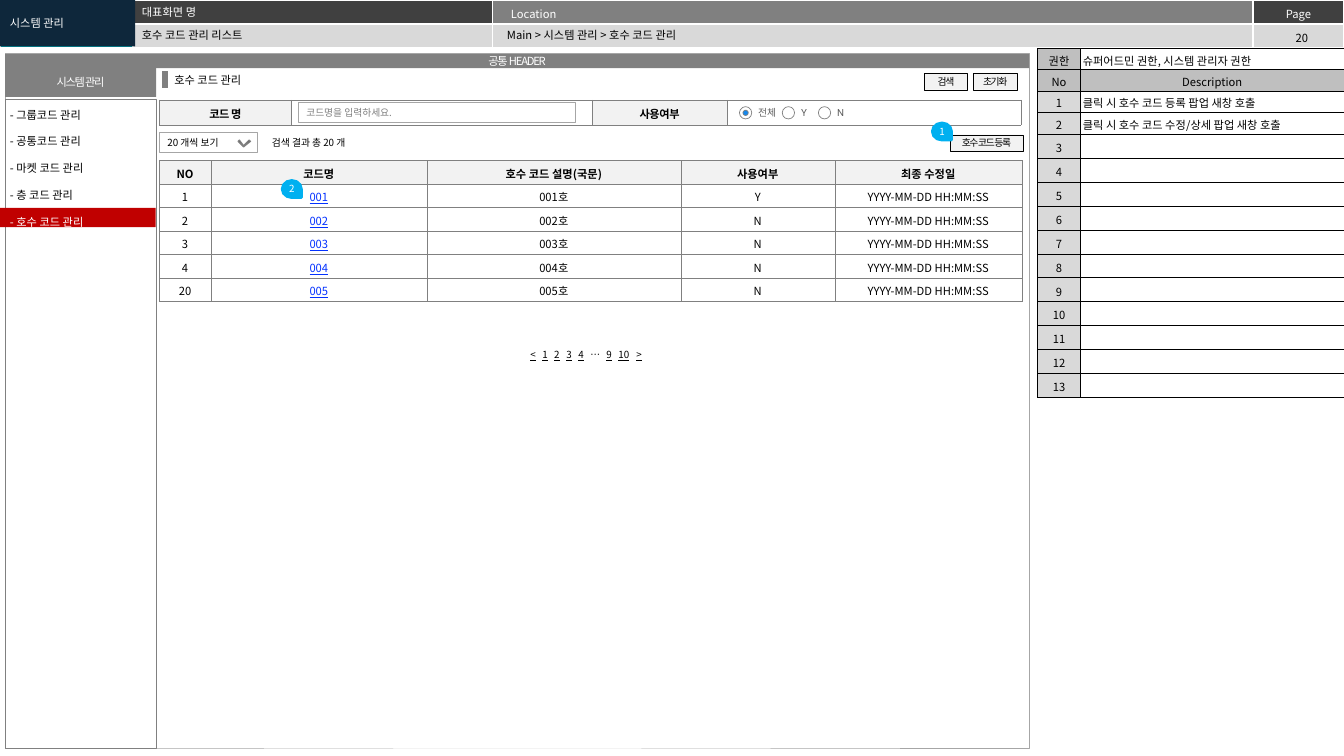
"""Build the room code management wireframe slide."""
from pptx import Presentation
from pptx.dml.color import RGBColor
from pptx.enum.shapes import MSO_CONNECTOR as Link, MSO_SHAPE as Kind
from pptx.enum.text import MSO_ANCHOR as Anchor, PP_ALIGN as Align
from pptx.oxml import parse_xml
from pptx.oxml.ns import nsdecls
from pptx.util import Pt

KR = "Noto Sans CJK KR"
BLACK, WHITE, GREY, DARK = "000000", "FFFFFF", "808080", "404040"
PALE, LIGHT, MID, EDGE = "F2F2F2", "D9D9D9", "BFBFBF", "A6A6A6"
NAVY, TEAL, RED, LINK, SKY = "0E273B", "009CA6", "C00000", "0432FF", "00B0F0"

TOP = [[("", TEAL), ("", DARK), ("Location", GREY), ("Page", DARK)],
       [("", TEAL), ("", LIGHT), ("", LIGHT), ("", LIGHT)]]
SEARCH = [[("코드 명", PALE), ("", WHITE), ("사용여부", PALE), ("", WHITE)]]
HEADS = ["NO", "코드명", "호수 코드 설명(국문)", "사용여부", "최종 수정일"]
ROOMS = [("1", "001", "Y"), ("2", "002", "N"), ("3", "003", "N"),
         ("4", "004", "N"), ("20", "005", "N")]
STAMP = "YYYY-MM-DD HH:MM:SS"
NOTES = ["클릭 시 호수 코드 등록 팝업 새창 호출",
         "클릭 시 호수 코드 수정/상세 팝업 새창 호출"] + [""] * 11
MENU = ["- 그룹코드 관리", "- 공통코드 관리", "- 마켓 코드 관리",
        "- 층 코드 관리", "- 호수 코드 관리"]
LABELS = [("20", 898.6, 18.7, 62.6, 17.3, 8, BLACK, Align.CENTER),
          ("호수 코드 관리 리스트", 94.3, 17.3, 261, 16, 8, BLACK, Align.LEFT),
          ("Main > 시스템 관리 > 호수 코드 관리", 355, 16.6, 531, 17, 8, BLACK, Align.LEFT),
          ("대표화면 명", 94.3, 0, 261, 17, 8, WHITE, Align.LEFT),
          ("호수 코드 관리", 117.4, 49, 173, 17, 8, BLACK, Align.LEFT),
          ("검색 결과 총 20 개", 187.2, 94.2, 80, 16, 7, BLACK, Align.LEFT)]
BARS = [("시스템 관리", 0, 0, 96.5, 33.2, NAVY, Align.LEFT, 0),
        ("공통 HEADER", 3.6, 38.6, 731.5, 10, GREY, Align.CENTER, -90),
        ("시스템 관리", 3.6, 48.4, 108, 20.9, GREY, Align.CENTER, -90)]
BUTTONS = [("초기화", 695.4, 52.4, 31), ("검색", 660.2, 52.4, 31),
           ("호수 코드 등록", 678.6, 96.2, 52)]
FIELDS = [("20 개씩 보기", 113.8, 94.8, 70, 14, BLACK),
          ("코드명을 입력하세요.", 213, 73.3, 198, 14.4, GREY)]
RADIOS = [("전체", 528.2, 30), ("Y", 558.8, 20), ("N", 584.6, 20)]
PINS = [("1", 666.7, 87.1), ("2", 202.3, 128.2)]
PAGES = [("<", 0), ("1", 8.6), ("2", 17.1), ("3", 25.7), ("4", 34.3),
         ("…", 42.9), ("9", 54.3), ("10", 62.9), (">", 75.7)]
ARROW = [(178.6, 100.8), (177.8, 100.1), (174.4, 103.7), (171.2, 100.1),
         (170.4, 100.8), (174.4, 104.9)]


def hue(code):
    return RGBColor.from_string(code)


def style(run, size, color, font=KR, bold=False, under=False, space=0):
    run.font.size, run.font.name = Pt(size), font
    run.font.bold, run.font.underline = bold, under
    run.font.color.rgb = hue(color)
    props = run._r.get_or_add_rPr()
    props.find("{*}latin").addnext(parse_xml(f'<a:ea {nsdecls("a")} typeface="{font}"/>'))
    if space:
        props.set("spc", str(space))


def write(shape, text, size, color, align=Align.LEFT, side=7.2, **look):
    frame = shape.text_frame
    frame.word_wrap, frame.vertical_anchor = True, Anchor.MIDDLE
    frame.margin_left = frame.margin_right = Pt(side)
    frame.margin_top = frame.margin_bottom = 0
    frame.text = text
    for para in frame.paragraphs:
        para.alignment = align
        for run in para.runs:
            style(run, size, color, **look)
    return frame


def label(text, x, y, w, h, size, color, align=Align.LEFT, side=7.2, **look):
    box = slide.shapes.add_textbox(Pt(x), Pt(y), Pt(w), Pt(h))
    return write(box, text, size, color, align, side, **look)


def paint(shape, fill, line, weight):
    shape.shadow.inherit = False
    if fill:
        shape.fill.solid()
        shape.fill.fore_color.rgb = hue(fill)
    else:
        shape.fill.background()
    if line:
        shape.line.color.rgb, shape.line.width = hue(line), Pt(weight)
    else:
        shape.line.fill.background()


def draw(x, y, w, h, fill=None, line=None, weight=0.25, kind=Kind.RECTANGLE):
    shape = slide.shapes.add_shape(kind, Pt(x), Pt(y), Pt(w), Pt(h))
    paint(shape, fill, line, weight)
    return shape


def edge(cell, color, weight):
    props = cell._tc.get_or_add_tcPr()
    for side in "LRTB":
        props.append(parse_xml(
            f'<a:ln{side} {nsdecls("a")} w="{int(weight * 12700)}"><a:solidFill>'
            f'<a:srgbClr val="{color}"/></a:solidFill></a:ln{side}>'))


def grid(x, y, cols, rows, cells, border=None, weight=0.25, side=7.2, ink=BLACK):
    frame = slide.shapes.add_table(len(rows), len(cols), Pt(x), Pt(y),
                                   Pt(sum(cols)), Pt(sum(rows)))
    table = frame.table
    table.first_row = table.horz_banding = False
    for col, width in zip(table.columns, cols):
        col.width = Pt(width)
    for row, height, items in zip(table.rows, rows, cells):
        row.height = Pt(height)
        for cell, (text, fill, *rest) in zip(row.cells, items):
            look = {"align": Align.CENTER, "color": ink, **(rest[0] if rest else {})}
            if border:
                edge(cell, border, weight)
            if fill:
                cell.fill.solid()
                cell.fill.fore_color.rgb = hue(fill)
            else:
                cell.fill.background()
            cell.margin_left = cell.margin_right = Pt(side)
            cell.margin_top, cell.margin_bottom = Pt(2), 0
            cell.vertical_anchor = Anchor.MIDDLE
            para = cell.text_frame.paragraphs[0]
            para.alignment = look.pop("align")
            if text:
                para.text = text
                style(para.runs[0], 8, **look)
            else:
                para._p.get_or_add_endParaRPr().set("sz", "800")
    return table


deck = Presentation()
deck.slide_width, deck.slide_height = Pt(960), Pt(540)
slide = deck.slides.add_slide(deck.slide_layouts[6])

left, bold = {"align": Align.LEFT}, {"bold": True}
TOP[0][2] += (left,)
top = grid(0, 0, [95, 257, 543, 65], [17.1] * 2, TOP, side=13, ink=WHITE)
top.cell(0, 0).merge(top.cell(1, 0))
draw(3.6, 38.2, 731.5, 496, None, EDGE)
for text, x, y, w, h, fill, align, space in BARS:
    write(draw(x, y, w, h, fill), text, 8, WHITE, align, space=space)
draw(3.6, 70.6, 108, 463.7, None, GREY)
for item in LABELS:
    label(*item)

mark = slide.shapes.add_connector(Link.STRAIGHT, Pt(117.7), Pt(51), Pt(117.7), Pt(62.8))
mark.line.color.rgb, mark.line.width = hue(GREY), Pt(4.5)
mark._element.spPr.append(parse_xml(f'<a:effectLst {nsdecls("a")}/>'))

tight = {"bold": True, "space": -30}
grid(114, 71.4, [94, 215, 96.4, 210], [18],
     [[(text, fill, tight) for text, fill in SEARCH[0]]], GREY)
for text, x, y, w in BUTTONS:
    write(draw(x, y, w, 11.7, PALE, BLACK), text, 7, BLACK, Align.CENTER, 0, space=-90)

link = {"color": LINK, "under": True}
rooms = [[(text, PALE, bold) for text in HEADS]]
rooms += [[(no, WHITE), (code, WHITE, link), (code + "호", WHITE), (use, WHITE), (STAMP, WHITE)]
          for no, code, use in ROOMS]
grid(113.8, 114.4, [36.8, 154.3, 181.4, 110, 133.6], [16.82] * 6, rooms, GREY)

notes = [[("권한", MID), ("슈퍼어드민 권한, 시스템 관리자 권한", None, left)],
         [("No", MID), ("Description", MID)]]
notes += [[(str(no), LIGHT), (text, None, left)] for no, text in enumerate(NOTES, 1)]
grid(741, 34.6, [31, 188], [15.2] * 3 + [16] + [17.05] * 11, notes, BLACK, 0.5, 1.5)

for text, x, y, w, h, color in FIELDS:
    write(draw(x, y, w, h, WHITE, EDGE, 0.5), text, 7, color, side=5.8)
pen = slide.shapes.build_freeform(*ARROW[0], scale=12700)
pen.add_line_segments(ARROW[1:], close=True)
paint(pen.convert_to_shape(), "5F5F5F", GREY, 0.75)

for text, x, w in RADIOS:
    draw(x, 76.2, 8.8, 8.8, WHITE, GREY, 0.5, Kind.OVAL)
    label(text, x + 7.6, 73.4, w, 14.4, 7, "5F5F5F", side=5.8, font="Roboto")
draw(530.7, 78.7, 3.8, 3.8, "1588EC", GREY, 0.5, Kind.OVAL)

for text, x, y in PINS:
    pin = draw(x, y, 12.2, 13.7, SKY, SKY, 2, Kind.TEAR)
    pin.rotation = 90
    frame = write(pin, text, 7, WHITE, Align.CENTER, 0)
    frame._txBody.bodyPr.set("vert", "vert270")

para = label("", 373, 246.2, 105, 14.4, 7, BLACK, side=5.8).paragraphs[0]
stops = "".join(f'<a:tab pos="{int(at * 12700)}" algn="l"/>' for _, at in PAGES[1:])
para._p.get_or_add_pPr().append(parse_xml(f'<a:tabLst {nsdecls("a")}>{stops}</a:tabLst>'))
for text, at in PAGES:
    for part in (["\t"] if at else []) + [text]:
        run = para.add_run()
        run.text = part
        style(run, 7, BLACK, under=part not in "\t…")

draw(0, 148.5, 111.2, 13.7, RED)
menu = label("\n".join(MENU), 0, 67.6, 104, 95.5, 8, BLACK)
menu.vertical_anchor = Anchor.TOP
for para in menu.paragraphs:
    para.line_spacing = Pt(19.1)
menu.paragraphs[-1].runs[0].font.color.rgb = hue(WHITE)

deck.save("out.pptx")
